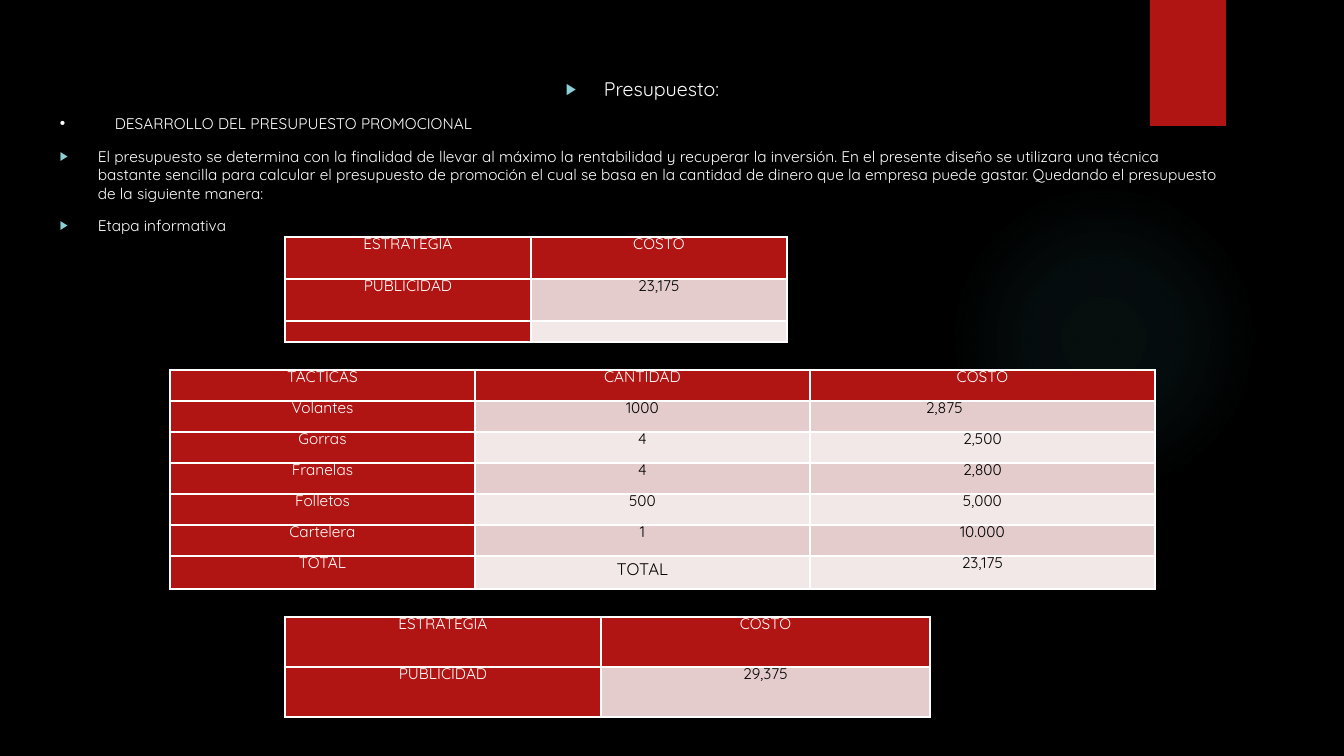
from lxml.etree import fromstring
from pptx import Presentation
from pptx.dml.color import RGBColor
from pptx.enum.shapes import MSO_SHAPE
from pptx.enum.text import PP_ALIGN
from pptx.oxml.ns import nsdecls
from pptx.util import Pt

SCALE = 9144000 / 1008  # EMU in one px
FONT = "Quicksand"
COLORS = {
    "background": "000000",
    "accent": "B01513",
    "glow": "50B9C1",
    "bullet": "8AD0D6",
    "light_text": "FFFFFF",
    "dark_text": "000000",
    "border": "FFFFFF",
    "odd_row": "E4CCCC",
    "even_row": "F2E8E7",
}
GLOW_STOPS = [(0, 7), (36, 6), (69, 0)]  # position %, opacity %

# text, points, alignment, bullet, bullet colour, bullet size %, indent px
BODY = [
    ("Presupuesto:", 14, PP_ALIGN.CENTER, "▶", "bullet", 80, 38),
    ("DESARROLLO DEL PRESUPUESTO PROMOCIONAL", 11, PP_ALIGN.LEFT, "•", "light_text", 100, 55),
    ("El presupuesto se determina con la finalidad de llevar al máximo la rentabilidad "
     "y recuperar la inversión. En el presente diseño se utilizara una técnica bastante "
     "sencilla para calcular el presupuesto de promoción el cual se basa en la cantidad "
     "de dinero que la empresa puede gastar. Quedando el presupuesto de la siguiente manera:",
     11, PP_ALIGN.LEFT, "▶", "bullet", 80, 38),
    ("Etapa informativa", 11, PP_ALIGN.LEFT, "▶", "bullet", 80, 38),
]

TABLES = [
    {"left": 285, "top": 237, "cols": [246, 256], "rows": [42, 42, 21],
     "cells": [("ESTRATEGIA", "COSTO"), ("PUBLICIDAD", "23,175"), ("", "")]},
    {"left": 170, "top": 370, "cols": [305, 335, 345], "rows": [31] * 6 + [33],
     "cells": [("TACTICAS", "CANTIDAD", "COSTO"),
               ("Volantes", "1000", "2,875"),
               ("Gorras", "4", "2,500"),
               ("Franelas", "4", "2,800"),
               ("Folletos", "500", "5,000"),
               ("Cartelera", "1", "10.000"),
               ("TOTAL", "TOTAL", "23,175")]},
    {"left": 285, "top": 617, "cols": [316, 329], "rows": [50, 50],
     "cells": [("ESTRATEGIA", "COSTO"), ("PUBLICIDAD", "29,375")]},
]


def px(length):
    return round(length * SCALE)


def color(name):
    return RGBColor.from_string(COLORS[name])


def style_font(paragraph, points, color_name):
    paragraph.font.name = FONT
    paragraph.font.size = Pt(points)
    paragraph.font.color.rgb = color(color_name)


def add_plain_shape(slide, kind, left, top, width, height):
    shape = slide.shapes.add_shape(kind, px(left), px(top), px(width), px(height))
    shape.shadow.inherit = False
    shape.line.fill.background()
    return shape


def add_glow(slide):
    glow = add_plain_shape(slide, MSO_SHAPE.OVAL, 949, 184, 310, 310)
    stops = "".join(
        f'<a:gs pos="{position * 1000}"><a:srgbClr val="{COLORS["glow"]}">'
        f'<a:alpha val="{opacity * 1000}"/></a:srgbClr></a:gs>'
        for position, opacity in GLOW_STOPS)
    gradient = fromstring(
        f'<a:gradFill {nsdecls("a")}><a:gsLst>{stops}</a:gsLst><a:path path="circle">'
        '<a:fillToRect l="50000" t="50000" r="50000" b="50000"/></a:path></a:gradFill>')
    glow.element.spPr.prstGeom.addnext(gradient)


def add_bullet(paragraph, mark, color_name, percent, indent):
    properties = paragraph._p.get_or_add_pPr()
    properties.set("marL", str(px(indent)))
    properties.set("indent", str(-px(indent)))
    bullet = fromstring(
        f'<a:bullet {nsdecls("a")}>'
        f'<a:buClr><a:srgbClr val="{COLORS[color_name]}"/></a:buClr>'
        f'<a:buSzPct val="{percent * 1000}"/><a:buFont typeface="Arial"/>'
        f'<a:buChar char="{mark}"/></a:bullet>')
    font_defaults = properties.find("{*}defRPr")
    for part in list(bullet):
        font_defaults.addprevious(part)


def add_body(slide):
    frame = slide.shapes.add_textbox(px(50), px(72), px(1185), px(614)).text_frame
    frame.word_wrap = True
    for index, (text, points, alignment, *bullet) in enumerate(BODY):
        paragraph = frame.add_paragraph() if index else frame.paragraphs[0]
        paragraph.text = text
        paragraph.alignment = alignment
        paragraph.space_before = Pt(10)
        style_font(paragraph, points, "light_text")
        add_bullet(paragraph, *bullet)


def add_borders(cell):
    properties = cell._tc.get_or_add_tcPr()
    for index, side in enumerate("LRTB"):
        properties.insert(index, fromstring(
            f'<a:ln{side} {nsdecls("a")} w="{Pt(1)}"><a:solidFill>'
            f'<a:srgbClr val="{COLORS["border"]}"/></a:solidFill></a:ln{side}>'))


def fill_cell(cell, text, row, column):
    is_header = row == 0 or column == 0
    cell.fill.solid()
    cell.fill.fore_color.rgb = color(
        "accent" if is_header else "odd_row" if row % 2 else "even_row")
    cell.margin_left = px(7)
    cell.margin_right = px(83 if text == "2,875" else 7)  # this cost sits left of centre
    cell.margin_top = cell.margin_bottom = 0
    add_borders(cell)

    paragraph = cell.text_frame.paragraphs[0]
    paragraph.text = text
    paragraph.alignment = PP_ALIGN.CENTER
    is_total_quantity = text == "TOTAL" and column == 1
    if is_total_quantity:
        paragraph.line_spacing = 1.15
    else:
        paragraph.line_spacing = Pt(12)
        paragraph.space_before = paragraph.space_after = Pt(6.8)
    style_font(paragraph, 12 if is_total_quantity else 11,
               "light_text" if is_header else "dark_text")


def add_budget_table(slide, left, top, cols, rows, cells):
    table = slide.shapes.add_table(
        len(rows), len(cols), px(left), px(top), px(sum(cols)), px(sum(rows))).table
    table.first_row = table.horz_banding = False
    for column, width in zip(table.columns, cols):
        column.width = px(width)
    for row, height in zip(table.rows, rows):
        row.height = px(height)
    for row, texts in enumerate(cells):
        for column, text in enumerate(texts):
            fill_cell(table.cell(row, column), text, row, column)


def main():
    presentation = Presentation()
    presentation.slide_width, presentation.slide_height = px(1344), px(756)
    slide = presentation.slides.add_slide(presentation.slide_layouts[6])
    slide.background.fill.solid()
    slide.background.fill.fore_color.rgb = color("background")

    add_glow(slide)
    ribbon = add_plain_shape(slide, MSO_SHAPE.RECTANGLE, 1150, 0, 76, 126)
    ribbon.fill.solid()
    ribbon.fill.fore_color.rgb = color("accent")
    add_body(slide)
    for budget in TABLES:
        add_budget_table(slide, **budget)
    presentation.save("out.pptx")


if __name__ == "__main__":
    main()
